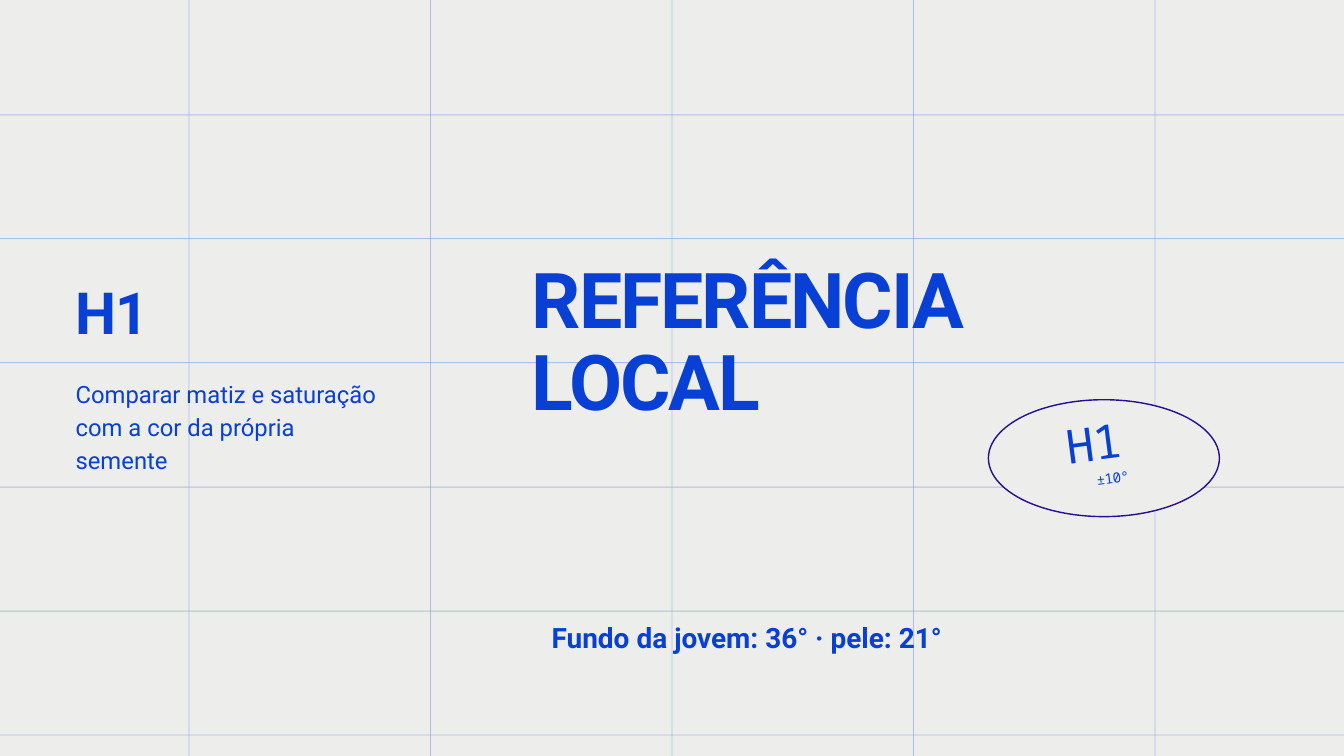
from lxml import etree
from pptx import Presentation
from pptx.dml.color import RGBColor
from pptx.enum.shapes import MSO_CONNECTOR, MSO_SHAPE
from pptx.enum.text import MSO_AUTO_SIZE, PP_ALIGN
from pptx.oxml.ns import qn
from pptx.util import Pt

STRAIGHT = MSO_CONNECTOR.STRAIGHT
OVAL = MSO_SHAPE.OVAL
LEFT, CENTER = PP_ALIGN.LEFT, PP_ALIGN.CENTER
GROW = MSO_AUTO_SIZE.SHAPE_TO_FIT_TEXT

PX = 9525  # EMU per px
WIDTH, HEIGHT = 1920, 1080
COLORS = {"paper": "EDEDEC", "grid": "6F92E2", "ink": "083FD5", "outline": "280F91"}


def color(name):
    return RGBColor.from_string(COLORS[name])


def add_grid_line(group, x1, y1, x2, y2):
    line = group.shapes.add_connector(STRAIGHT, x1 * PX, y1 * PX, x2 * PX, y2 * PX)
    line.line.width = Pt(1)
    line.line.color.rgb = color("grid")
    # Half transparent, without shadow
    properties = line._element.spPr
    fill = properties.find(".//" + qn("a:srgbClr"))
    etree.SubElement(fill, qn("a:alpha")).set("val", "50000")
    etree.SubElement(properties, qn("a:effectLst"))


presentation = Presentation()
presentation.slide_width = WIDTH * PX
presentation.slide_height = HEIGHT * PX
slide = presentation.slides.add_slide(presentation.slide_layouts[6])
slide.background.fill.solid()
slide.background.fill.fore_color.rgb = color("paper")

# Background grid
grid = slide.shapes.add_group_shape()
for row in range(6):
    y = round(164 + row * 177.2)
    add_grid_line(grid, 0, y, WIDTH, y)
for column in range(5):
    x = 270 + column * 345
    add_grid_line(grid, x, HEIGHT, x, 0)

# Badge ellipse
badge = slide.shapes.add_shape(OVAL, 1412 * PX, 571 * PX, 330 * PX, 167 * PX)
badge.shadow.inherit = False
badge.fill.solid()
badge.fill.fore_color.rgb = color("paper")
badge.line.color.rgb = color("outline")
badge.line.width = Pt(1.5)

# Texts: wording, box in px, font, size, line height, letter spacing, bold, alignment, rotation
texts = [
    ("H1", (108, 405, 500, 104), "Roboto", 62.2, 66.6, -1.6, True, LEFT, 0),
    ("REFERÊNCIA LOCAL", (760, 373, 727, 256), "Roboto", 82.5, 88.3, -2.1, True, LEFT, 0),
    ("Comparar matiz e saturação com a cor da própria semente",
     (108, 535, 441, 139), "Roboto", 25.5, 35.7, 0, False, LEFT, 0),
    ("Fundo da jovem: 36° · pele: 21°",
     (788, 879, 1023, 55), "Roboto", 30, 42, 0, True, LEFT, 0),
    ("±10°", (1457, 673, 266, 22), "Noto Sans Mono", 15.1, 16.3, -0.4, False, CENTER, 352.5),
    ("H1", (1479, 599, 167, 73), "Noto Sans Mono", 50.3, 54.3, -1.2, False, CENTER, 352.5),
]
for wording, box, font, size, line_height, spacing, bold, alignment, rotation in texts:
    shape = slide.shapes.add_textbox(*(length * PX for length in box))
    shape.rotation = rotation
    frame = shape.text_frame
    frame.word_wrap = True
    frame.auto_size = GROW
    frame.margin_left = frame.margin_right = frame.margin_top = frame.margin_bottom = 0
    paragraph = frame.paragraphs[0]
    paragraph.alignment = alignment
    paragraph.line_spacing = Pt(line_height)
    run = paragraph.add_run()
    run.text = wording
    run.font.name = font
    run.font.size = Pt(size)
    run.font.bold = bold
    run.font.color.rgb = color("ink")
    if spacing:
        run._r.get_or_add_rPr().set("spc", str(round(spacing * 100)))

presentation.save("out.pptx")
